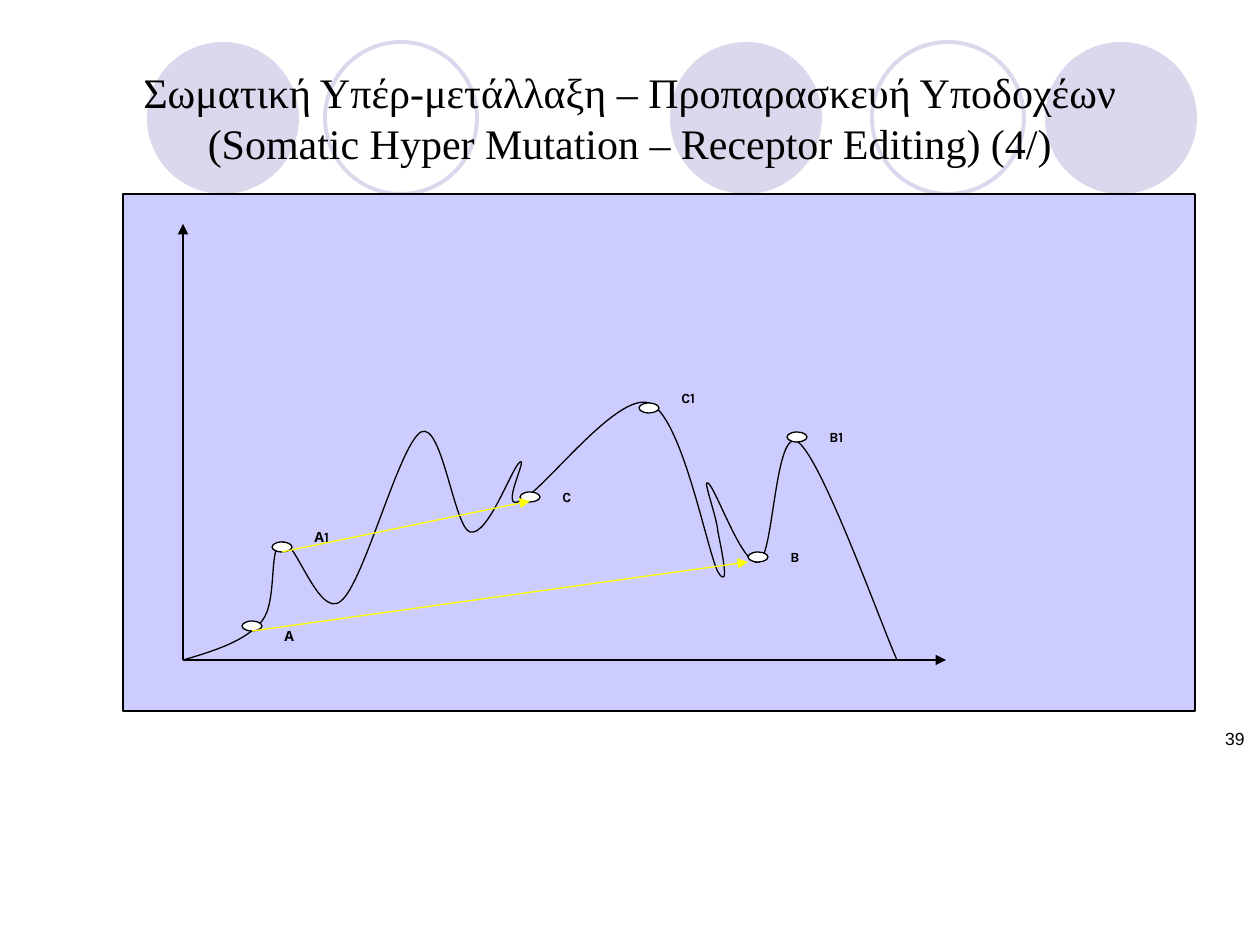
from dataclasses import dataclass
from typing import Optional

from lxml.etree import SubElement
from pptx import Presentation
from pptx.dml.color import RGBColor
from pptx.enum.shapes import MSO_CONNECTOR as Conn, MSO_SHAPE as Shape
from pptx.enum.text import MSO_ANCHOR as Anchor, MSO_AUTO_SIZE as AutoSize, PP_ALIGN as Align
from pptx.oxml.ns import qn
from pptx.util import Pt

PX = 914400 / 126
BLACK = RGBColor(0x00, 0x00, 0x00)
WHITE = RGBColor(0xFF, 0xFF, 0xFF)
YELLOW = RGBColor(0xFF, 0xFF, 0x00)
PANEL = RGBColor(0xCC, 0xCC, 0xFF)
LILAC = RGBColor(0xD9, 0xD8, 0xEC)


@dataclass
class Circle:
    x: int
    filled: bool


@dataclass
class Marker:
    name: str
    x: int
    y: int
    label_dy: int = -10
    label_w: int = 59


@dataclass
class Arrow:
    start: tuple[int, int]
    end: tuple[int, int]
    color: RGBColor


CIRCLES = [
    Circle(670, True),
    Circle(1045, True),
    Circle(147, True),
    Circle(872, False),
    Circle(325, False),
]
MARKERS = [
    Marker("Α", 242, 621, 0, 30),
    Marker("Α1", 272, 542, -20),
    Marker("C", 520, 492),
    Marker("C1", 639, 403, -20),
    Marker("B", 748, 552),
    Marker("B1", 787, 432),
]
ORIGIN = (183, 660)
AXES = [Arrow(ORIGIN, (183, 224), BLACK), Arrow(ORIGIN, (946, 660), BLACK)]
JUMPS = [
    Arrow((252, 631), (748, 562), YELLOW),
    Arrow((282, 552), (530, 501), YELLOW),
]
CURVE = [
    (214, 651), (246, 641), (262, 621),
    (278, 601), (268, 546), (282, 542),
    (295, 538), (319, 620), (341, 601),
    (364, 583), (399, 445), (421, 432),
    (442, 421), (454, 527), (470, 532),
    (488, 537), (512, 467), (520, 462),
    (528, 457), (499, 512), (520, 501),
    (542, 493), (616, 392), (649, 403),
    (682, 415), (707, 551), (718, 572),
    (731, 593), (721, 547), (718, 532),
    (717, 517), (702, 478), (708, 483),
    (716, 488), (743, 568), (759, 562),
    (774, 554), (775, 426), (798, 442),
    (822, 459), (881, 624), (897, 660),
]


def emu(*px: int) -> list[int]:
    return [round(v * PX) for v in px]


def style(sp, fill: Optional[RGBColor], line: Optional[RGBColor], width: float = 0.75) -> None:
    sp.shadow.inherit = False
    if fill is None:
        sp.fill.background()
    else:
        sp.fill.solid()
        sp.fill.fore_color.rgb = fill
    if line is None:
        sp.line.fill.background()
    else:
        sp.line.color.rgb = line
        sp.line.width = Pt(width)


def add_box(slide, kind, x: int, y: int, w: int, h: int,
            fill: Optional[RGBColor], line: Optional[RGBColor], width: float = 0.75) -> None:
    sp = slide.shapes.add_shape(kind, *emu(x, y, w, h))
    style(sp, fill, line, width)


def add_text(slide, x: int, y: int, w: int, h: int, text: str, size: int, font: str,
             align=Align.LEFT, anchor=Anchor.TOP, bold: bool = False):
    tf = slide.shapes.add_textbox(*emu(x, y, w, h)).text_frame
    tf.word_wrap = True
    tf.vertical_anchor = anchor
    p = tf.paragraphs[0]
    p.alignment = align
    r = p.add_run()
    r.text = text
    r.font.size = Pt(size)
    r.font.name = font
    r.font.bold = bold
    r.font.color.rgb = BLACK
    return tf


def add_arrow(slide, arrow: Arrow) -> None:
    cx = slide.shapes.add_connector(Conn.STRAIGHT, *emu(*arrow.start, *arrow.end))
    cx.line.color.rgb = arrow.color
    cx.line.width = Pt(0.75)
    SubElement(cx.line._get_or_add_ln(), qn("a:tailEnd"), type="triangle")
    SubElement(cx._element.spPr, qn("a:effectLst"))


def add_curve(slide, start: tuple[int, int], points: list[tuple[int, int]]) -> None:
    builder = slide.shapes.build_freeform(*start, scale=PX)
    builder.add_line_segments(points, close=False)
    sp = builder.convert_to_shape()
    style(sp, None, BLACK)
    outline = next(sp._element.iter(qn("a:path")))
    segments = outline.findall(qn("a:lnTo"))
    for i in range(0, len(segments), 3):
        bezier = SubElement(outline, qn("a:cubicBezTo"))
        for segment in segments[i:i + 3]:
            bezier.append(segment[0])
            outline.remove(segment)


def add_label(slide, m: Marker) -> None:
    tf = add_text(slide, m.x + 30, m.y + m.label_dy, m.label_w, 30, m.name, 8, "Karla", bold=True)
    tf.auto_size = AutoSize.SHAPE_TO_FIT_TEXT


def main() -> None:
    prs = Presentation()
    prs.slide_width, prs.slide_height = emu(1260, 945)
    slide = prs.slides.add_slide(prs.slide_layouts[6])

    for c in CIRCLES:
        fill, line = (LILAC, None) if c.filled else (None, LILAC)
        add_box(slide, Shape.OVAL, c.x, 42, 152, 152, fill, line, 2.25)

    add_text(slide, 63, 38, 1134, 158,
             "Σωματική Υπέρ-μετάλλαξη – Προπαρασκευή Υποδοχέων "
             "(Somatic Hyper Mutation – Receptor Editing) (4/)",
             24, "Times New Roman", Align.CENTER, Anchor.MIDDLE)
    add_text(slide, 942, 722, 315, 66, "39", 10, "Arial", Align.RIGHT)

    add_box(slide, Shape.RECTANGLE, 123, 194, 1072, 517, PANEL, BLACK)
    for axis in AXES:
        add_arrow(slide, axis)
    add_curve(slide, ORIGIN, CURVE)
    for m in MARKERS:
        add_box(slide, Shape.OVAL, m.x, m.y, 20, 10, WHITE, BLACK)
    for m in MARKERS:
        add_label(slide, m)
    for jump in JUMPS:
        add_arrow(slide, jump)

    prs.save("out.pptx")


if __name__ == "__main__":
    main()
